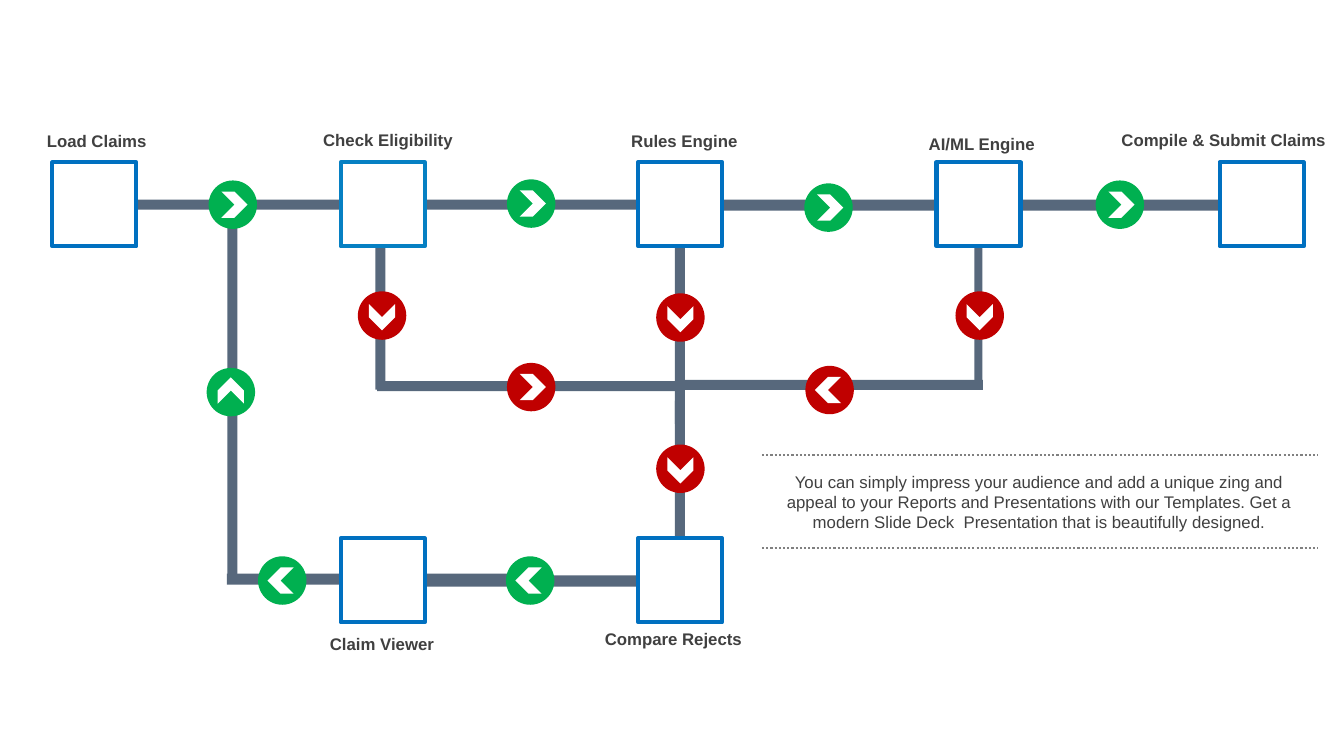
from pptx import Presentation
from pptx.dml.color import RGBColor
from pptx.enum.dml import MSO_LINE
from pptx.enum.shapes import MSO_CONNECTOR, MSO_SHAPE
from pptx.enum.text import PP_ALIGN
from pptx.util import Pt
from lxml import etree

RECT, OVAL, CHEVRON = MSO_SHAPE.RECTANGLE, MSO_SHAPE.OVAL, MSO_SHAPE.CHEVRON
STRAIGHT, DOTTED, CENTER = MSO_CONNECTOR.STRAIGHT, MSO_LINE.ROUND_DOT, PP_ALIGN.CENTER
A_NS = "http://schemas.openxmlformats.org/drawingml/2006/main"

SLATE = RGBColor(0x57, 0x68, 0x7C)
BLUE = RGBColor(0x00, 0x70, 0xC0)
LIGHT_BLUE = RGBColor(0x06, 0x80, 0xC3)
GREEN = RGBColor(0x00, 0xB0, 0x50)
RED = RGBColor(0xC0, 0x00, 0x00)
WHITE = RGBColor(0xFF, 0xFF, 0xFF)
TEXT = RGBColor(0x40, 0x40, 0x40)
GRAY = RGBColor(0x80, 0x80, 0x80)

BOX, BADGE, ARROW, ARROW_SHIFT = 60, 34.6, 18.7, 1.2
LABEL_W, LABEL_H = 187.2, 21.6
TOP_ROW, BOTTOM_ROW = 115.9, 384.5

# label, label centre x, label top, box left, box top, outline
STEPS = [
    ("Load Claims", 69.1, 90, 37.4, TOP_ROW, BLUE),
    ("Check Eligibility", 277.2, 89.3, 243.4, TOP_ROW, LIGHT_BLUE),
    ("Rules Engine", 488.9, 90, 455.8, TOP_ROW, BLUE),
    ("AI/ML Engine", 701.3, 92.2, 668.9, TOP_ROW, BLUE),
    ("Compile & Submit Claims", 874.1, 89.3, 871.2, TOP_ROW, BLUE),
    ("Claim Viewer", 272.9, 449.3, 243.4, BOTTOM_ROW, BLUE),
    ("Compare Rejects", 481, 445.7, 455.8, BOTTOM_ROW, BLUE),
]
# centre y, from x, to x, thickness
ROW_PIPES = [
    (146.2, 97.2, 511.2, 7.2), (146.5, 515.5, 668.9, 7.9), (146.5, 718.6, 871.9, 7.9),
    (275.8, 269.3, 486.7, 7.2), (275, 482.4, 702, 7.2),
    (413.6, 162, 365.8, 7.9), (415, 262.8, 509, 7.9),
]
# centre x, from y, to y, thickness
COLUMN_PIPES = [
    (166, 149.4, 412.2, 7.2), (271.8, 176.8, 278.3, 7.2), (485.6, 176.8, 302.8, 7.2),
    (485.6, 286.2, 412.2, 7.2), (698.8, 175.3, 278.3, 5.8),
]
# name: rotation, x and y of the unit step
DIRECTIONS = {"right": (0, 1, 0), "down": (90, 0, 1), "left": (180, -1, 0), "up": (270, 0, -1)}
# centre x, centre y, direction, colour
BADGES = [
    (166.3, 146.2, "right", GREEN), (379.4, 145.4, "right", GREEN),
    (591.8, 148.3, "right", GREEN), (799.9, 146.2, "right", GREEN),
    (272.9, 225.4, "down", RED), (486, 226.8, "down", RED), (699.8, 225.4, "down", RED),
    (379.4, 276.5, "right", RED), (592.6, 278.6, "left", RED), (486, 334.8, "down", RED),
    (378.7, 414.7, "left", GREEN), (201.6, 414.7, "left", GREEN), (164.9, 280.1, "up", GREEN),
]
NOTE = ("You can simply impress your audience and add a unique zing and appeal to your "
        "Reports and Presentations with our Templates. Get a modern Slide Deck  "
        "Presentation that is beautifully designed.")
NOTE_RULES = [325.2, 391.6]


def add_shape(shapes, kind, x, y, w, h, fill, line=None):
    sp = shapes.add_shape(kind, Pt(x), Pt(y), Pt(w), Pt(h))
    sp.shadow.inherit = False
    sp.fill.solid()
    sp.fill.fore_color.rgb = fill
    if line is None:
        sp.line.fill.background()
    else:
        sp.line.color.rgb = line
        sp.line.width = Pt(3)
    return sp


def add_text(shapes, text, x, y, w, h, size=12, bold=False, color=TEXT):
    tf = shapes.add_textbox(Pt(x), Pt(y), Pt(w), Pt(h)).text_frame
    tf.word_wrap = True
    p = tf.paragraphs[0]
    p.alignment = CENTER
    r = p.add_run()
    r.text = text
    r.font.name, r.font.size, r.font.bold = "Arial", Pt(size), bold
    r.font.color.rgb = color


def add_badge(shapes, cx, cy, direction, color):
    """Circle with a chevron nudged the way it points."""
    rotation, dx, dy = DIRECTIONS[direction]
    group = shapes.add_group_shape().shapes
    add_shape(group, OVAL, cx - BADGE / 2, cy - BADGE / 2, BADGE, BADGE, color)
    arrow = add_shape(group, CHEVRON, cx + dx * ARROW_SHIFT - ARROW / 2,
                      cy + dy * ARROW_SHIFT - ARROW / 2, ARROW, ARROW, WHITE)
    arrow.rotation = rotation


def add_dotted_rule(shapes, x1, x2, y):
    rule = shapes.add_connector(STRAIGHT, Pt(x1), Pt(y), Pt(x2), Pt(y))
    rule.line.color.rgb = GRAY
    rule.line.width = Pt(1.5)
    rule.line.dash_style = DOTTED
    etree.SubElement(rule._element.spPr, f"{{{A_NS}}}effectLst")


def main():
    prs = Presentation()
    prs.slide_width, prs.slide_height = Pt(960), Pt(540)
    s = prs.slides.add_slide(prs.slide_layouts[6])
    shapes = s.shapes

    for cy, x1, x2, t in ROW_PIPES:
        add_shape(shapes, RECT, x1, cy - t / 2, x2 - x1, t, SLATE)
    for cx, y1, y2, t in COLUMN_PIPES:
        add_shape(shapes, RECT, cx - t / 2, y1, t, y2 - y1, SLATE)
    for label, cx, label_top, left, top, outline in STEPS:
        add_shape(shapes, RECT, left, top, BOX, BOX, WHITE, outline)
        add_text(shapes, label, cx - LABEL_W / 2, label_top, LABEL_W, LABEL_H, bold=True)
    for badge in BADGES:
        add_badge(shapes, *badge)

    add_text(shapes, NOTE, 541.4, 333.4, 401.8, 51.1)
    for y in NOTE_RULES:
        add_dotted_rule(shapes, 544.3, 941, y)
    prs.save("out.pptx")


if __name__ == "__main__":
    main()
